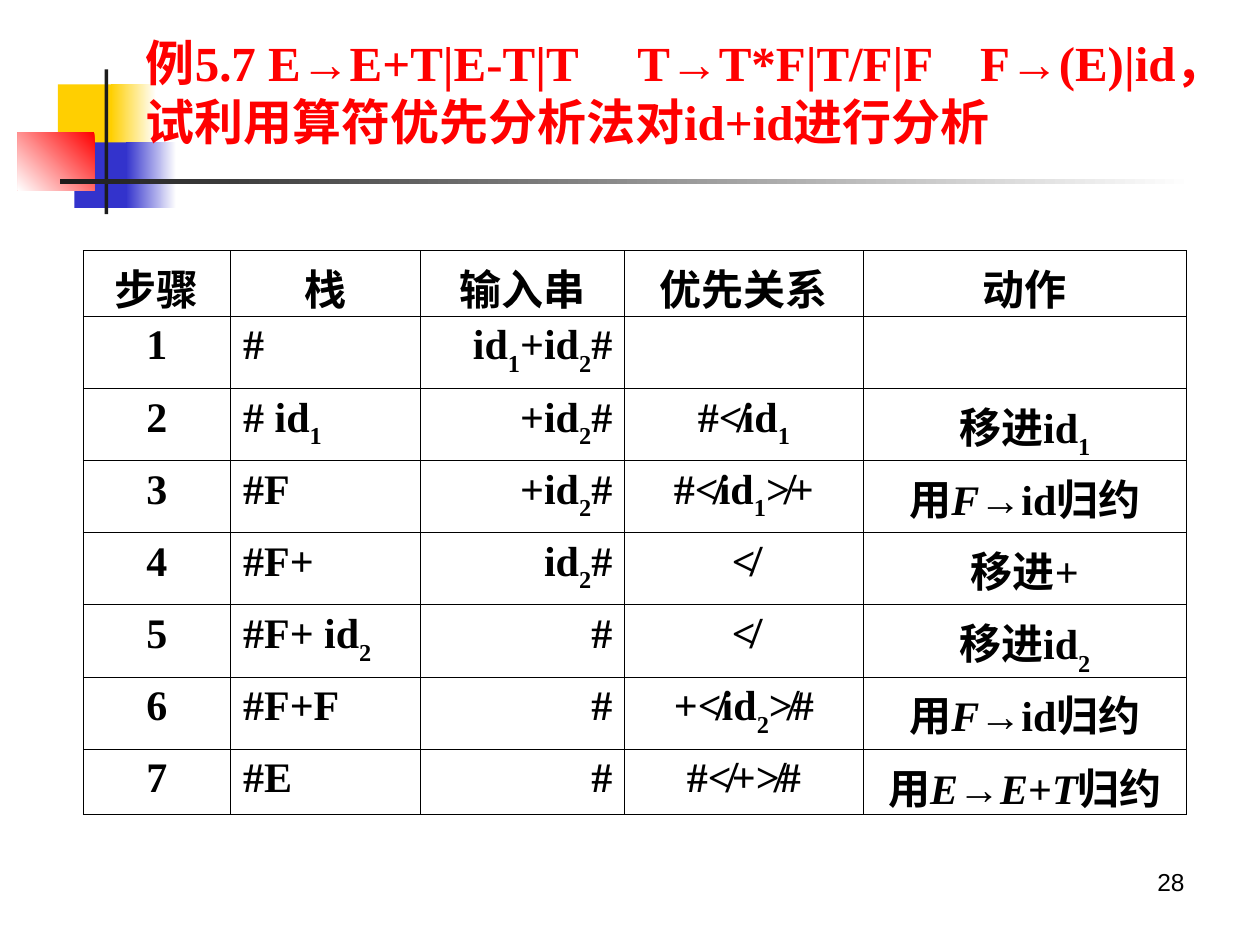
from lxml.etree import SubElement
from pptx import Presentation
from pptx.dml.color import RGBColor
from pptx.enum.shapes import MSO_SHAPE
from pptx.enum.text import PP_ALIGN
from pptx.oxml.ns import qn
from pptx.util import Inches, Pt

TITLE = [
    "例5.7 E→E+T|E-T|T\tT→T*F|T/F|F\tF→(E)|id，",
    "试利用算符优先分析法对id+id进行分析",
]
TABS = [3.9, 6.62]
DECOR = [
    ((0.46, 0.67, 0.48, 0.52), ["FFCF01"], 0),
    ((0.88, 0.67, 0.36, 0.52), ["FFFFFF", "FFCF01"], 180),
    ((0.59, 1.13, 0.46, 0.52), ["3333CC"], 0),
    ((1, 1.13, 0.4, 0.52), ["FFFFFF", "3333CC"], 180),
    ((0.14, 1.05, 0.61, 0.46), ["FF0000", "FFFFFF"], 225),
    ((0.83, 0.55, 0.03, 1.15), ["1C1C1C"], 0),
    ((0.48, 1.42, 9, 0.04), ["FFFFFF", "1C1C1C"], 180),
]
HEAD = ["步骤", "栈", "输入串", "优先关系", "动作"]
STEPS = [
    ["#", "id|_1|+id|_2|#", "", ""],
    ["# id|_1", "+id|_2|#", "#≮id|_1", "移进id|_1"],
    ["#F", "+id|_2|#", "#≮id|_1|≯+", "用|~F|→|id归约"],
    ["#F+", "id|_2|#", "≮", "移进+"],
    ["#F+ id|_2", "#", "≮", "移进id|_2"],
    ["#F+F", "#", "+≮id|_2|≯#", "用|~F|→|id归约"],
    ["#E", "#", "#≮+≯#", "用|~E|→|~E|+|~T|归约"],
]
WIDTHS = [1.17, 1.51, 1.62, 1.89, 2.57]
HEIGHTS = [0.52] + [0.57] * 6 + [0.52]
ALIGNS = [PP_ALIGN.CENTER, PP_ALIGN.LEFT, PP_ALIGN.RIGHT, PP_ALIGN.CENTER, PP_ALIGN.CENTER]
SERIF = {"name": "Times New Roman", "bold": True}
BODY = {**SERIF, "size": Pt(24)}
BIG = {**SERIF, "size": Pt(28)}
SMALL = {"name": "Arial", "size": Pt(14)}


def color(code):
    return RGBColor.from_string(code)


def style(font, look, code="000000"):
    for key, value in look.items():
        setattr(font, key, value)
    font.color.rgb = color(code)


def add_decor(slide, box, codes, angle):
    shape = slide.shapes.add_shape(MSO_SHAPE.RECTANGLE, *map(Inches, box))
    shape.shadow.inherit = False
    shape.line.fill.background()
    if len(codes) == 1:
        shape.fill.solid()
        shape.fill.fore_color.rgb = color(codes[0])
        return
    shape.fill.gradient()
    shape.fill.gradient_angle = angle
    for stop, code in zip(shape.fill.gradient_stops, codes):
        stop.color.rgb = color(code)


def add_text(slide, box, lines, look, code, align, tabs=()):
    frame = slide.shapes.add_textbox(*map(Inches, box)).text_frame
    frame.word_wrap = True
    for num, line in enumerate(lines):
        para = frame.add_paragraph() if num else frame.paragraphs[0]
        para.alignment = align
        if "\t" in line:
            stops = SubElement(para._p.get_or_add_pPr(), qn("a:tabLst"))
            for pos in tabs:
                SubElement(stops, qn("a:tab"), pos=str(Inches(pos)), algn="l")
        run = para.add_run()
        run.text = line
        style(run.font, look, code)


def fill_cell(cell, text, align):
    props = cell._tc.get_or_add_tcPr()
    for side in ("lnL", "lnR", "lnT", "lnB"):
        line = SubElement(props, qn("a:" + side), w=str(Pt(0.45)))
        SubElement(SubElement(line, qn("a:solidFill")), qn("a:srgbClr"), val="000000")
    cell.fill.background()
    para = cell.text_frame.paragraphs[0]
    para.alignment = align
    for part in text.split("|") if text else []:
        run = para.add_run()
        run.text = part.lstrip("_~")
        style(run.font, BODY)
        if part[0] == "_":
            run._r.get_or_add_rPr().set("baseline", "-30000")
        elif part[0] == "~":
            run.font.italic = True
        elif part == "→":
            run.font.name = "Arial"


def add_steps(slide):
    rows = [HEAD] + [[str(num)] + step for num, step in enumerate(STEPS, 1)]
    box = (0.66, 1.99, sum(WIDTHS), sum(HEIGHTS))
    table = slide.shapes.add_table(len(rows), len(HEAD), *map(Inches, box)).table
    table.first_row = table.horz_banding = False
    for col, width in zip(table.columns, WIDTHS):
        col.width = Inches(width)
    for num, (row, height) in enumerate(zip(table.rows, HEIGHTS)):
        row.height = Inches(height)
        for cell, text, align in zip(row.cells, rows[num], ALIGNS):
            fill_cell(cell, text, align if num else PP_ALIGN.CENTER)


def main():
    deck = Presentation()
    deck.slide_width, deck.slide_height = Inches(10), Inches(7.5)
    slide = deck.slides.add_slide(deck.slide_layouts[6])
    for item in DECOR:
        add_decor(slide, *item)
    add_text(slide, (7.17, 6.83, 2.33, 0.52), ["28"], SMALL, "000000", PP_ALIGN.RIGHT)
    add_text(slide, (1.06, 0.21, 8.94, 1.04), TITLE, BIG, "FF0000", PP_ALIGN.LEFT, TABS)
    add_steps(slide)
    deck.save("out.pptx")


if __name__ == "__main__":
    main()
